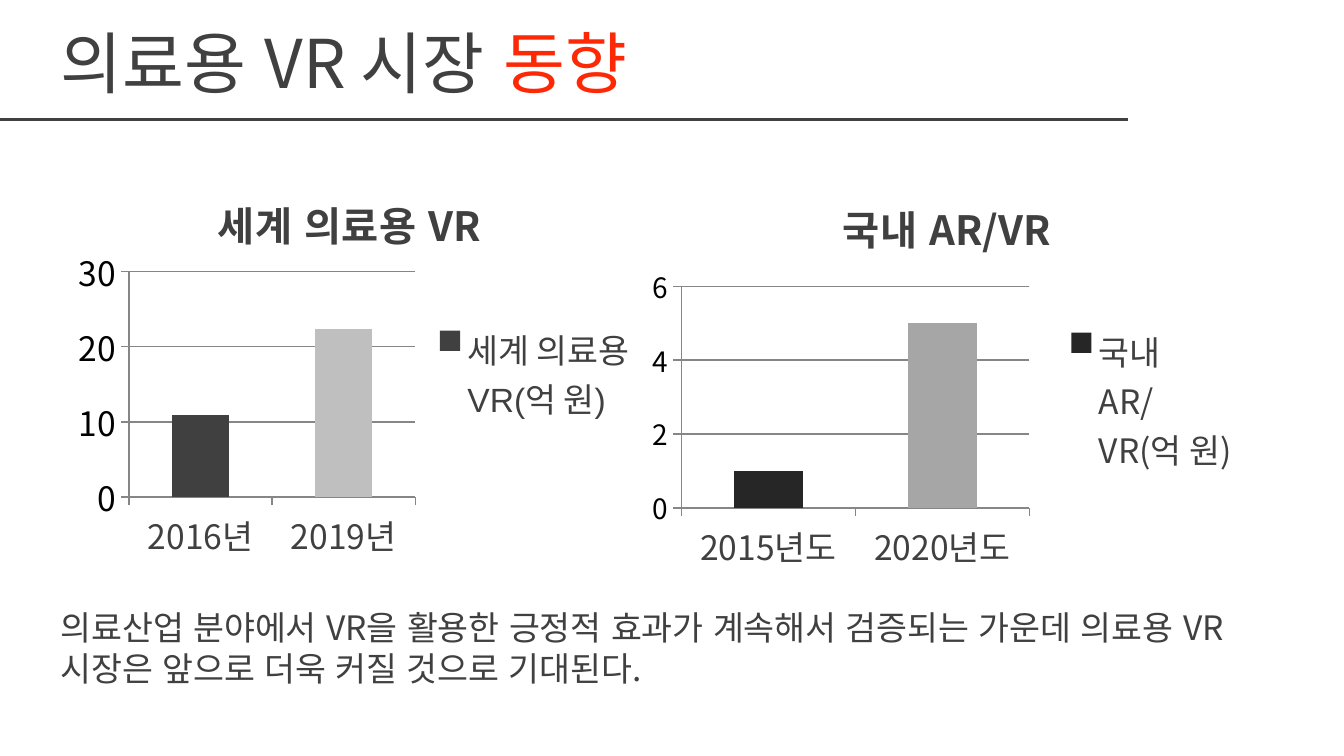
from lxml import etree
from pptx import Presentation
from pptx.chart.data import CategoryChartData
from pptx.dml.color import RGBColor
from pptx.enum.chart import XL_CHART_TYPE, XL_LEGEND_POSITION, XL_TICK_MARK
from pptx.enum.shapes import MSO_CONNECTOR
from pptx.enum.text import MSO_ANCHOR, PP_ALIGN
from pptx.oxml.ns import qn
from pptx.util import Inches, Pt

COLUMN_CLUSTERED = XL_CHART_TYPE.COLUMN_CLUSTERED
LEGEND_RIGHT = XL_LEGEND_POSITION.RIGHT
TICK_OUTSIDE = XL_TICK_MARK.OUTSIDE
STRAIGHT = MSO_CONNECTOR.STRAIGHT
MIDDLE = MSO_ANCHOR.MIDDLE
LEFT = PP_ALIGN.LEFT

SLIDE_WIDTH = Inches(10)
SLIDE_HEIGHT = SLIDE_WIDTH * 9 // 16
MARGIN = 0.35
TITLE_ONLY_LAYOUT = 5
FONT = "Noto Sans CJK KR"
LATIN_FONT = "Arial"

DARK = RGBColor(0x40, 0x40, 0x40)
BLACK = RGBColor(0, 0, 0)
RED = RGBColor(0xFD, 0x29, 0x06)
AXIS_GRAY = RGBColor(0x86, 0x86, 0x86)
LIGHT_GRAY = RGBColor(0xBF, 0xBF, 0xBF)
CHARCOAL = RGBColor(0x26, 0x26, 0x26)
MID_GRAY = RGBColor(0xA6, 0xA6, 0xA6)


def style_font(font, size, color, name=FONT, bold=False):
    font.name = name
    font.size = Pt(size)
    font.bold = bold
    font.color.rgb = color


def add_run(paragraph, text, size, color, bold=False):
    run = paragraph.add_run()
    run.text = text
    style_font(run.font, size, color, bold=bold)


def set_east_asian_font(element):
    """Give runs the narrow-script face, and chart defaults the Korean face."""
    for latin in list(element.iter(qn("a:latin"))):
        in_run = latin.getparent().tag == qn("a:rPr")
        typeface = LATIN_FONT if in_run else FONT
        latin.addnext(etree.Element(qn("a:ea"), typeface=typeface))


def add_title(slide):
    title = slide.shapes.title
    title.left, title.top = Inches(MARGIN), Inches(0.14)
    title.width, title.height = Inches(8.03), Inches(0.63)
    title.text_frame.vertical_anchor = MIDDLE
    paragraph = title.text_frame.paragraphs[0]
    paragraph.alignment = LEFT
    add_run(paragraph, "의료용 VR 시장 ", 36, DARK)
    add_run(paragraph, "동향", 36, RED)


def add_title_rule(slide):
    height = Inches(0.89)
    rule = slide.shapes.add_connector(
        STRAIGHT, Inches(-0.01), height, Inches(8.39), height)
    rule.line.color.rgb = DARK
    rule.line.width = Pt(1.5)
    etree.SubElement(rule.element.spPr, qn("a:effectLst"))


def add_summary(slide):
    box = slide.shapes.add_textbox(
        Inches(MARGIN), Inches(4.47), Inches(8.98), Inches(0.71))
    box.text_frame.word_wrap = True
    add_run(box.text_frame.paragraphs[0],
            "의료산업 분야에서 VR을 활용한 긍정적 효과가 계속해서 검증되는 가운데 "
            "의료용 VR시장은 앞으로 더욱 커질 것으로 기대된다.", 18, DARK)


def place_plot(chart, frame, plot_box):
    """Fix the inner plot area; plot_box is in inches from the chart's corner."""
    width, height = frame[2:]
    shares = [length / whole
              for length, whole in zip(plot_box, (width, height) * 2)]
    plot_area = chart.element.find(".//" + qn("c:plotArea"))
    for old_layout in plot_area.findall(qn("c:layout")):
        plot_area.remove(old_layout)
    layout = etree.Element(qn("c:layout"))
    manual = etree.SubElement(layout, qn("c:manualLayout"))
    settings = [("layoutTarget", "inner"), ("xMode", "edge"), ("yMode", "edge")]
    settings += zip("xywh", map(str, shares))
    for tag, value in settings:
        etree.SubElement(manual, qn("c:" + tag), val=value)
    plot_area.insert(0, layout)


def style_axis(axis, size, color):
    axis.major_tick_mark = TICK_OUTSIDE
    axis.format.line.color.rgb = AXIS_GRAY
    axis.format.line.width = Pt(0.75)
    style_font(axis.tick_labels.font, size, color)


def add_market_chart(slide, frame, title, categories, values, bar_colors,
                     value_scale, value_size, legend_font, plot_box):
    data = CategoryChartData()
    data.categories = categories
    data.add_series(title + "(억 원)", values)
    chart = slide.shapes.add_chart(
        COLUMN_CLUSTERED, *map(Inches, frame), data).chart
    style_font(chart.font, 18, BLACK)

    chart.has_title = True
    add_run(chart.chart_title.text_frame.paragraphs[0], title, 21.6, DARK, bold=True)
    chart.has_legend = True
    chart.legend.position = LEGEND_RIGHT
    chart.legend.include_in_layout = False
    style_font(chart.legend.font, 18, DARK, legend_font)

    style_axis(chart.category_axis, 18, DARK)
    axis = chart.value_axis
    style_axis(axis, value_size, BLACK)
    axis.minimum_scale = 0
    axis.maximum_scale, axis.major_unit = value_scale
    axis.major_gridlines.format.line.color.rgb = AXIS_GRAY
    axis.major_gridlines.format.line.width = Pt(0.75)

    plot = chart.plots[0]
    plot.gap_width = 150
    plot.vary_by_categories = False
    series = plot.series[0]
    first_color, last_color = bar_colors
    for bar, color in ((series, first_color), (series.points[1], last_color)):
        bar.format.fill.solid()
        bar.format.fill.fore_color.rgb = color
    place_plot(chart, frame, plot_box)
    set_east_asian_font(chart.element)


def main():
    presentation = Presentation()
    presentation.slide_width = SLIDE_WIDTH
    presentation.slide_height = SLIDE_HEIGHT
    slide = presentation.slides.add_slide(
        presentation.slide_layouts[TITLE_ONLY_LAYOUT])
    add_title_rule(slide)
    add_title(slide)
    add_summary(slide)
    add_market_chart(
        slide, (MARGIN, 1.24, 4.5, 3.07), "세계 의료용 VR",
        ("2016년", "2019년"), (10.9, 22.3), (DARK, LIGHT_GRAY),
        value_scale=(30, 10), value_size=18, legend_font=LATIN_FONT,
        plot_box=(0.61, 0.78, 2.13, 1.68))
    add_market_chart(
        slide, (4.76, 1.27, 4.57, 3.04), "국내 AR/VR",
        ("2015년도", "2020년도"), (1, 5), (CHARCOAL, MID_GRAY),
        value_scale=(6, 2), value_size=15, legend_font=FONT,
        plot_box=(0.31, 0.86, 2.59, 1.65))
    set_east_asian_font(slide.element)
    presentation.save("out.pptx")


if __name__ == "__main__":
    main()
